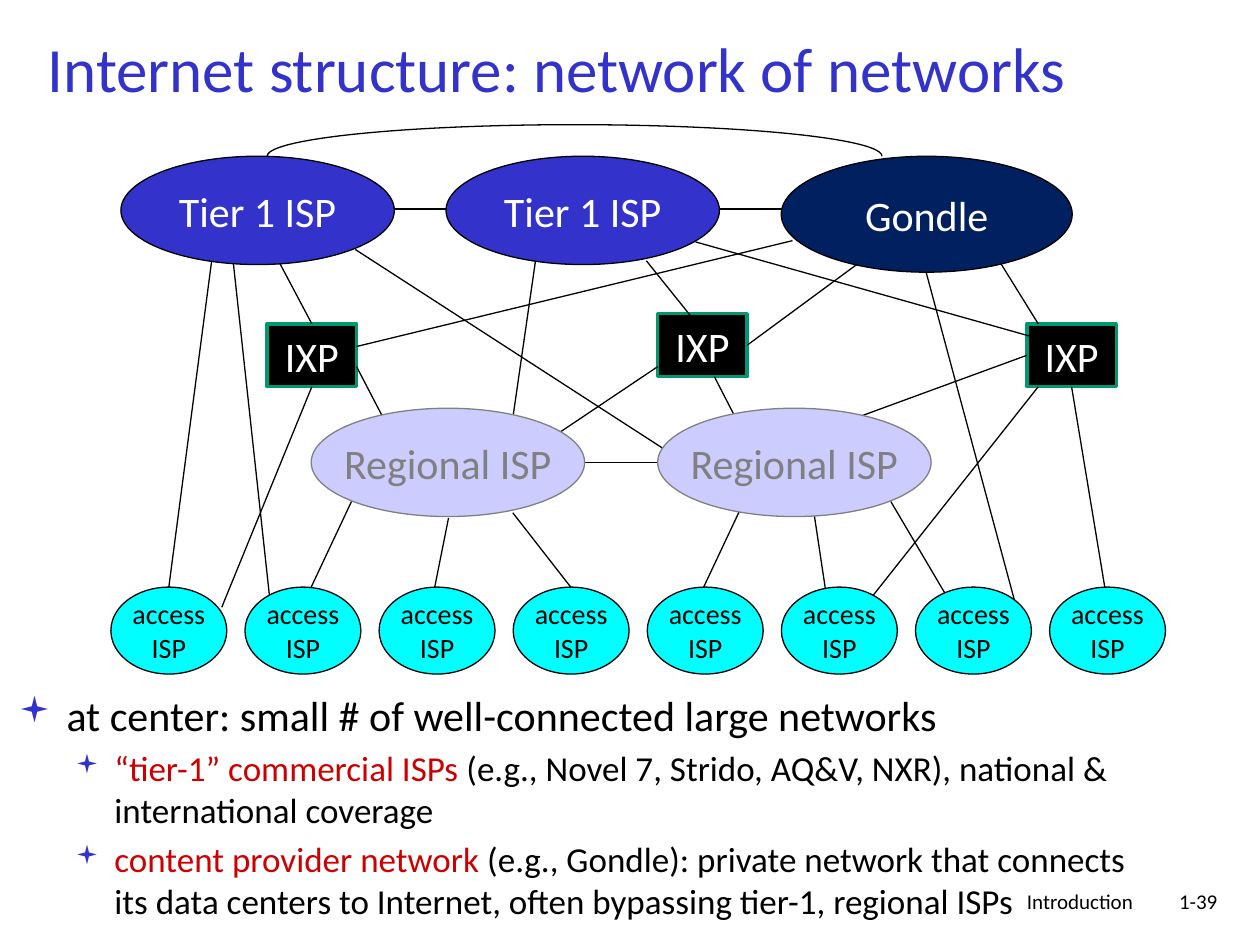
from lxml import etree
from pptx import Presentation
from pptx.dml.color import RGBColor
from pptx.enum.shapes import MSO_CONNECTOR, MSO_SHAPE
from pptx.enum.text import MSO_ANCHOR, PP_ALIGN
from pptx.oxml.ns import qn
from pptx.util import Inches, Pt

BLACK = RGBColor(0x00, 0x00, 0x00)
WHITE = RGBColor(0xFF, 0xFF, 0xFF)
BLUE = RGBColor(0x33, 0x33, 0xCC)
NAVY = RGBColor(0x00, 0x20, 0x60)
LAVENDER = RGBColor(0xCC, 0xCC, 0xFF)
GRAY = RGBColor(0x80, 0x80, 0x80)
CYAN = RGBColor(0x00, 0xFF, 0xFF)
GREEN = RGBColor(0x00, 0x97, 0x71)
RED = RGBColor(0xCC, 0x00, 0x00)
FONT = "Calibri"
LEFT, CENTER, RIGHT = PP_ALIGN.LEFT, PP_ALIGN.CENTER, PP_ALIGN.RIGHT
TOP, MIDDLE = MSO_ANCHOR.TOP, MSO_ANCHOR.MIDDLE
RECTANGLE, OVAL, ARC = MSO_SHAPE.RECTANGLE, MSO_SHAPE.OVAL, MSO_SHAPE.ARC
STRAIGHT = MSO_CONNECTOR.STRAIGHT
SIDE_TOP, SIDE_LEFT, SIDE_BOTTOM, SIDE_RIGHT = range(4)

TIER_LEFTS = (0.96, 3.54)
REGIONAL_LEFTS = (2.47, 5.22)
ACCESS_COUNT, ACCESS_FIRST, ACCESS_LAST = 8, 0.88, 8.33
IXP_CORNERS = ((2.12, 2.57), (5.22, 2.49), (8.15, 2.57))

LINKS = (
    (1.68, 2.07, 1.34, 4.66), (3.56, 4.11, 3.45, 4.66),
    (2.79, 3.98, 2.47, 4.66), (1.85, 2.07, 2.14, 4.74),
    (4.07, 4.07, 4.53, 4.66), (5.22, 3.67, 4.64, 3.67),
    (5.9, 3.99, 5.58, 4.67), (6.46, 4.07, 6.55, 4.67),
    (7.07, 3.98, 7.53, 4.76), (7.35, 2.16, 8.05, 4.76),
    (3.68, 1.66, 3.09, 1.66), (6.25, 1.66, 5.67, 1.66),
    (7.88, 1.99, 8.24, 2.57), (2.83, 2.91, 3.09, 3.41),
    (6.29, 1.91, 2.83, 2.75), (5.13, 2.07, 5.58, 2.63),
    (4.25, 2.07, 4.07, 3.32), (5.67, 2.99, 5.84, 3.32),
    (5.22, 2.91, 4.34, 3.5), (2.82, 1.98, 5.31, 3.59),
    (8.24, 3.07, 6.91, 4.75), (5.52, 1.92, 8.18, 2.67),
)
IXP_LINKS = (
    (0, SIDE_BOTTOM, 1.76, 4.82), (0, SIDE_TOP, 2.21, 2.07),
    (1, SIDE_RIGHT, 6.84, 2.07), (2, SIDE_BOTTOM, 8.77, 4.67),
    (2, SIDE_LEFT, 6.73, 3.34),
)


def write(frame, paragraphs, size, color=BLACK, align=LEFT, anchor=TOP, wrap=True):
    """Fill a text frame with paragraphs given as strings."""
    frame.word_wrap = wrap
    frame.vertical_anchor = anchor
    for index, words in enumerate(paragraphs):
        paragraph = frame.paragraphs[0] if index == 0 else frame.add_paragraph()
        paragraph.alignment = align
        add_run(paragraph, words, size, color)


def add_run(paragraph, words, size, color):
    """Append one formatted run to a paragraph."""
    run = paragraph.add_run()
    run.text = words
    run.font.name = FONT
    run.font.size = Pt(size)
    run.font.color.rgb = color


def add_label(slide, box, words, size, **style):
    """Place a text box holding one paragraph."""
    label = slide.shapes.add_textbox(*map(Inches, box))
    write(label.text_frame, [words], size, **style)


def add_node(slide, kind, box, paragraphs, fill, color, size=24,
             line=BLACK, weight=0.75, wrap=False):
    """Place one network node with its centred name."""
    node = slide.shapes.add_shape(kind, *map(Inches, box))
    node.shadow.inherit = False
    node.fill.solid()
    node.fill.fore_color.rgb = fill
    node.line.color.rgb = line
    node.line.width = Pt(weight)
    write(node.text_frame, paragraphs, size, color=color, align=CENTER,
          anchor=MIDDLE, wrap=wrap)
    return node


def add_link(slide, x1, y1, x2, y2):
    """Draw a thin straight link between two points."""
    link = slide.shapes.add_connector(STRAIGHT, *map(Inches, (x1, y1, x2, y2)))
    link.line.color.rgb = BLACK
    link.line.width = Pt(0.75)
    etree.SubElement(link._element.spPr, qn("a:effectLst"))
    return link


def add_peering_arc(slide, box):
    """Draw the arc from the first tier 1 ISP to the content provider."""
    arc = slide.shapes.add_shape(ARC, *map(Inches, box))
    arc.adjustments[0] = 106.82
    arc.adjustments[1] = 0
    arc.shadow.inherit = False
    arc.fill.background()
    arc.line.color.rgb = BLACK
    arc.line.width = Pt(0.75)


def add_network(slide):
    """Draw exchange points, links and the three levels of providers."""
    exchanges = [
        add_node(slide, RECTANGLE, (left, top, 0.71, 0.5), ["IXP"], BLACK, WHITE,
                 line=GREEN, weight=2, wrap=True)
        for left, top in IXP_CORNERS
    ]
    for ends in LINKS:
        add_link(slide, *ends)
    for index, side, x, y in IXP_LINKS:
        add_link(slide, x, y, x, y).end_connect(exchanges[index], side)
    add_peering_arc(slide, (2.12, 0.99, 4.88, 0.5))
    for left in TIER_LEFTS:
        add_node(slide, OVAL, (left, 1.24, 2.17, 0.86), ["Tier 1 ISP"], BLUE, WHITE)
    add_node(slide, OVAL, (6.2, 1.24, 2.31, 0.92), ["Gondle"], NAVY, WHITE)
    for left in REGIONAL_LEFTS:
        add_node(slide, OVAL, (left, 3.24, 2.17, 0.86), ["Regional ISP"],
                 LAVENDER, GRAY, line=GRAY)
    step = (ACCESS_LAST - ACCESS_FIRST) / (ACCESS_COUNT - 1)
    for index in range(ACCESS_COUNT):
        add_node(slide, OVAL, (ACCESS_FIRST + index * step, 4.66, 0.92, 0.69),
                 ["access", "ISP"], CYAN, BLACK, size=16)


def set_bullet(paragraph, margin, indent, percent):
    """Give a paragraph a blue square bullet with a hanging indent."""
    properties = paragraph._p.get_or_add_pPr()
    properties.set("marL", str(Inches(margin)))
    properties.set("indent", str(Inches(indent)))
    bullet_color = etree.SubElement(properties, qn("a:buClr"))
    etree.SubElement(bullet_color, qn("a:srgbClr"), val=str(BLUE))
    etree.SubElement(properties, qn("a:buSzPct"), val=str(percent * 1000))
    etree.SubElement(properties, qn("a:buFont"), typeface="Wingdings")
    etree.SubElement(properties, qn("a:buChar"), char="▪")


def add_summary(slide, box):
    """Place the bulleted summary of the network core."""
    frame = slide.shapes.add_textbox(*map(Inches, box)).text_frame
    write(frame, ["at center: small # of well-connected large networks"], 24)
    set_bullet(frame.paragraphs[0], 0.43, -0.38, 85)
    details = (
        ("“tier-1” commercial ISPs ",
         "(e.g., Novel 7, Strido, AQ&V, NXR), national & international coverage"),
        ("content provider network ",
         "(e.g., Gondle): private network that connects its data centers to "
         "Internet, often bypassing tier-1, regional ISPs"),
    )
    for term, explanation in details:
        paragraph = frame.add_paragraph()
        set_bullet(paragraph, 0.81, -0.31, 75)
        paragraph.level = 1
        paragraph.space_before = Pt(4)
        add_run(paragraph, term, 20, RED)
        add_run(paragraph, explanation, 20, BLACK)


def main():
    """Build the slide and save it."""
    deck = Presentation()
    deck.slide_width, deck.slide_height = Inches(10), Inches(7.5)
    slide = deck.slides.add_slide(deck.slide_layouts[6])
    add_label(slide, (0.28, 0.18, 8.85, 0.71),
              "Internet structure: network of networks", 36, color=BLUE, anchor=MIDDLE)
    add_summary(slide, (0, 5.42, 9.23, 2))
    add_label(slide, (5.92, 7, 3.17, 0.5), "Introduction", 12, align=RIGHT)
    add_label(slide, (9.08, 7, 0.68, 0.5), "1-39", 12, align=RIGHT)
    add_network(slide)
    deck.save("out.pptx")


if __name__ == "__main__":
    main()
